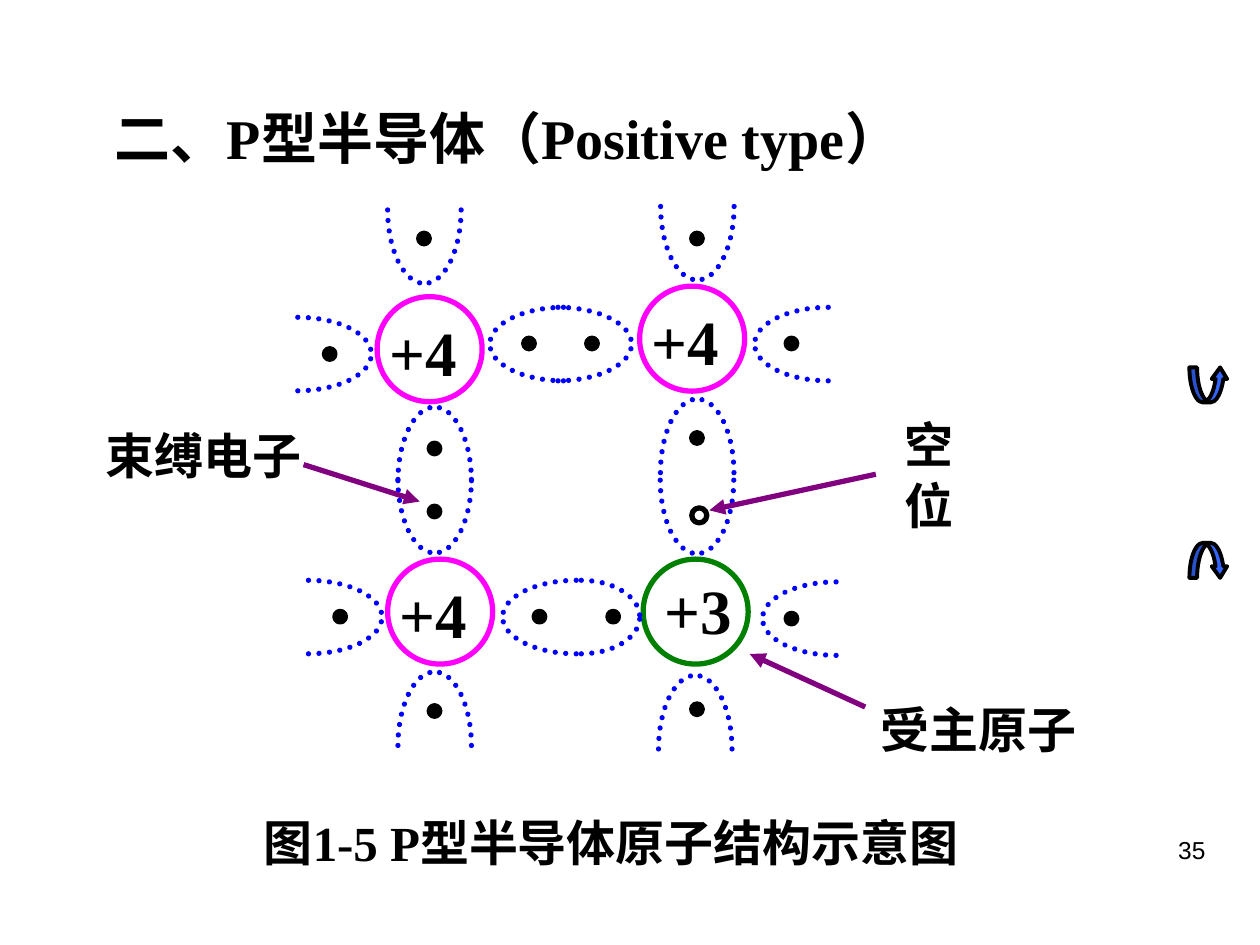
"""Build the slide on the atomic structure of a P-type semiconductor."""
import math
from dataclasses import dataclass

import lxml.etree
import pptx
import pptx.dml.color
import pptx.enum.dml
import pptx.enum.shapes
import pptx.enum.text
import pptx.oxml.ns
import pptx.util

Pt = pptx.util.Pt
Shapes = pptx.enum.shapes.MSO_SHAPE
Align = pptx.enum.text.PP_ALIGN

COLORS = {
    "text": "000000",
    "silicon": "FF00FF",
    "acceptor": "008000",
    "bond": "0000FF",
    "pointer": "800080",
    "navigation": "3366FF",
}
ATOM_SIZE = 60
BOND_HALF_WIDTH = 21
CURVE_STEPS = 12
UP, DOWN, LEFT, RIGHT = (0, -1), (0, 1), (-1, 0), (1, 0)


@dataclass
class Atom:
    left: float
    top: float
    charge: str
    color: str = "silicon"
    label_shift: tuple = (0, 6)


@dataclass
class Bond:
    tip: tuple
    opening: tuple
    electron: tuple
    length: float = 42
    is_hole: bool = False


@dataclass
class Label:
    text: str
    box: tuple
    size: float = 28
    font: str = "Times New Roman"
    bold: bool = True
    align: Align = Align.LEFT
    insets: tuple = (7.2, 3.6, 7.2, 3.6)
    vertical: bool = False


@dataclass
class Pointer:
    start: tuple
    end: tuple


TITLE = Label("二、P型半导体（Positive type）", (58.3, 55.5, 505, 46), size=32)
LABELS = [
    Label("图1-5 P型半导体原子结构示意图", (129.6, 461, 463, 41), insets=(21.2, 3.6, 7.2, 3.6)),
    Label("受主原子", (496, 396, 134.6, 41)),
    Label("空 位", (502.5, 233.3, 47.5, 77.8), insets=(3.6, 7.2, 3.6, 0), vertical=True),
    Label("束缚电子", (53.3, 239.8, 129, 41)),
    Label("35", (516, 473.8, 180, 37.4), 14, "Arial", False, Align.RIGHT),
]
ATOMS = [
    Atom(215.5, 169.5, "+4"),
    Atom(365.5, 163.5, "+4"),
    Atom(221.5, 319.5, "+4"),
    Atom(367.5, 319.5, "+3", "acceptor", (5, 3.6)),
]
BONDS = [
    Bond((242.5, 162), UP, (242.3, 136.3)),
    Bond((398.5, 160), UP, (398.3, 136.3)),
    Bond((248.4, 316), UP, (248.3, 292.3)),
    Bond((398.3, 316.4), UP, (399.6, 294.5), is_hole=True),
    Bond((248.4, 232.7), DOWN, (248.3, 256.3)),
    Bond((398.4, 228.1), DOWN, (398.3, 250.3)),
    Bond((248.4, 384), DOWN, (248.3, 406.3)),
    Bond((397.3, 386), DOWN, (398.3, 405.3)),
    Bond((212.2, 202.3), LEFT, (188.4, 202.3)),
    Bond((360.9, 196.6), LEFT, (338.3, 196.3)),
    Bond((218.3, 352.6), LEFT, (194.4, 352.4)),
    Bond((365.7, 352.6), LEFT, (350.4, 352.4), length=33.5),
    Bond((280, 196.6), RIGHT, (302.3, 196.3)),
    Bond((431.3, 196.6), RIGHT, (452.3, 196.3)),
    Bond((287.3, 352.6), RIGHT, (308.3, 352.4)),
    Bond((435.8, 353.5), RIGHT, (452.3, 353.5)),
]
POINTERS = [
    Pointer((173.5, 265.5), (239.8, 286.6)),
    Pointer((500.5, 271), (405.4, 291.6)),
    Pointer((494.4, 404), (428.4, 373.7)),
]
NAVIGATION = [
    (Shapes.CURVED_DOWN_ARROW, 310.2),
    (Shapes.CURVED_UP_ARROW, 210),
]


def rgb(name: str) -> pptx.dml.color.RGBColor:
    """Return the named colour."""
    return pptx.dml.color.RGBColor.from_string(COLORS[name])


def style_shape(shape, line: str, fill: str = "", width: float = 3) -> None:
    """Set outline and fill, and switch the shadow off."""
    shape.shadow.inherit = False
    shape.line.color.rgb = rgb(line)
    shape.line.width = Pt(width)
    if fill:
        shape.fill.solid()
        shape.fill.fore_color.rgb = rgb(fill)
    else:
        shape.fill.background()


def write_label(shape, label: Label) -> None:
    """Place a text shape and format its single paragraph."""
    shape.left, shape.top, shape.width, shape.height = map(Pt, label.box)
    frame = shape.text_frame
    frame.text = label.text
    frame.word_wrap = True
    frame.auto_size = pptx.enum.text.MSO_AUTO_SIZE.NONE
    frame.vertical_anchor = pptx.enum.text.MSO_ANCHOR.TOP
    frame.margin_left, frame.margin_top, frame.margin_right, frame.margin_bottom = map(Pt, label.insets)
    if label.vertical:
        frame._txBody.bodyPr.set("vert", "eaVert")
    paragraph = frame.paragraphs[0]
    paragraph.alignment = label.align
    font = paragraph.runs[0].font
    font.name, font.size, font.bold = label.font, Pt(label.size), label.bold
    font.color.rgb = rgb("text")


def add_label(slide, label: Label) -> None:
    """Add a text box for the label."""
    write_label(slide.shapes.add_textbox(*map(Pt, label.box)), label)


def add_circle(slide, center: tuple, size: float, line: str, fill: str = "") -> None:
    """Draw a circle around a centre point."""
    left, top = (Pt(value - size / 2) for value in center)
    style_shape(slide.shapes.add_shape(Shapes.OVAL, left, top, Pt(size), Pt(size)), line, fill)


def draw_atom(slide, atom: Atom) -> None:
    """Draw an atom with its charge."""
    center = (atom.left + ATOM_SIZE / 2, atom.top + ATOM_SIZE / 2)
    add_circle(slide, center, ATOM_SIZE, atom.color)
    shift_x, shift_y = atom.label_shift
    add_label(slide, Label(atom.charge, (atom.left + shift_x, atom.top + shift_y, 72, 50.4), size=36))


def draw_bond(slide, bond: Bond) -> None:
    """Draw two dotted quarter ellipses meeting at the tip, and the electron or hole."""
    (tip_x, tip_y), (along_x, along_y) = bond.tip, bond.opening
    for side in (-1, 1):
        points = []
        for step in range(CURVE_STEPS + 1):
            angle = math.pi / 2 * (1 - step / CURVE_STEPS)
            along = bond.length * (1 - math.cos(angle))
            across = side * BOND_HALF_WIDTH * math.sin(angle)
            points.append((Pt(tip_x + along * along_x - across * along_y),
                           Pt(tip_y + along * along_y + across * along_x)))
        builder = slide.shapes.build_freeform(*points[0])
        builder.add_line_segments(points[1:], close=False)
        curve = builder.convert_to_shape()
        style_shape(curve, "bond")
        curve.line.dash_style = pptx.enum.dml.MSO_LINE.ROUND_DOT
        curve.line._get_or_add_ln().set("cap", "rnd")
    if bond.is_hole:
        add_circle(slide, bond.electron, 8.6, "text")
    else:
        add_circle(slide, bond.electron, 6, "text", "text")


def draw_pointer(slide, pointer: Pointer) -> None:
    """Draw an arrow from a label to the part it names."""
    connector = slide.shapes.add_connector(
        pptx.enum.shapes.MSO_CONNECTOR.STRAIGHT, *map(Pt, pointer.start + pointer.end))
    connector.line.color.rgb = rgb("pointer")
    connector.line.width = Pt(3)
    qualify = pptx.oxml.ns.qn
    line = connector.line._get_or_add_ln()
    lxml.etree.SubElement(line, qualify("a:tailEnd"), type="triangle")
    lxml.etree.SubElement(connector._element.spPr, qualify("a:effectLst"))


def draw_navigation(slide, kind: Shapes, top: float) -> None:
    """Draw a curved arrow at the right edge."""
    arrow = slide.shapes.add_shape(kind, Pt(679.7), Pt(top), Pt(22), Pt(20))
    for index, value in enumerate((0.22, 0.44, 0.33)):
        arrow.adjustments[index] = value
    style_shape(arrow, "text", "navigation", 2.25)


def main() -> None:
    """Assemble and save the slide."""
    presentation = pptx.Presentation()
    presentation.slide_width, presentation.slide_height = Pt(720), Pt(540)
    slide = presentation.slides.add_slide(presentation.slide_layouts[5])
    write_label(slide.shapes.title, TITLE)
    for kind, top in NAVIGATION:
        draw_navigation(slide, kind, top)
    for draw, items in ((add_label, LABELS), (draw_atom, ATOMS), (draw_bond, BONDS), (draw_pointer, POINTERS)):
        for item in items:
            draw(slide, item)
    presentation.save("out.pptx")


if __name__ == "__main__":
    main()
